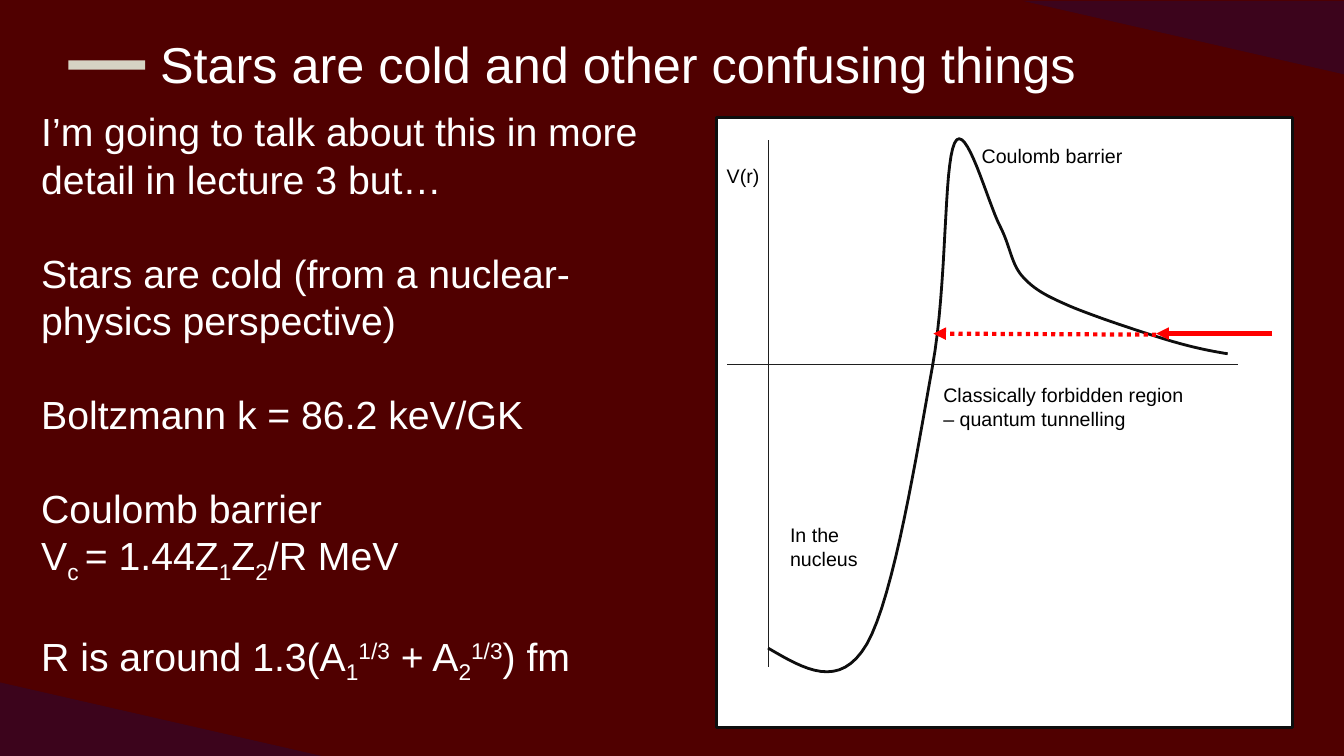
from dataclasses import dataclass

import pptx
import pptx.dml.color
import pptx.enum.dml
import pptx.enum.shapes
import pptx.enum.text
import pptx.oxml.ns
import pptx.util
from lxml import etree

SHAPE = pptx.enum.shapes.MSO_SHAPE
DASH = pptx.enum.dml.MSO_LINE
COLOURS = {"maroon": "500000", "purple": "3C041C", "sand": "D6D3C3", "white": "FFFFFF",
           "ink": "0E0E0E", "axis": "1F1F1F", "red": "FF0000", "black": "000000"}
SUB, SUPER = -25, 30
BLANK_LINE = 33.6

prs = pptx.Presentation()
prs.slide_width = pptx.util.Inches(13.333)
prs.slide_height = pptx.util.Inches(7.5)
s = prs.slides.add_slide(prs.slide_layouts[6])


# Grid of 100 columns by 100 rows
def col(n: float) -> int:
    return round(prs.slide_width * n / 100)


def row(n: float) -> int:
    return round(prs.slide_height * n / 100)


@dataclass
class Box:
    x: float
    y: float
    w: float
    h: float

    def place(self) -> tuple[int, int, int, int]:
        return col(self.x), row(self.y), col(self.w), row(self.h)


@dataclass
class Block:
    box: Box
    fill: str
    kind: SHAPE = SHAPE.RECTANGLE
    rotation: int = 0
    line: str | None = None


@dataclass
class Stroke:
    start: tuple[float, float]
    end: tuple[float, float]
    colour: str
    width: float
    arrow: bool = False
    dash: DASH | None = None


@dataclass
class Label:
    text: str
    box: Box


@dataclass
class Para:
    runs: list[tuple[str, int]]
    before: float = 0


def rgb(name: str) -> pptx.dml.color.RGBColor:
    return pptx.dml.color.RGBColor.from_string(COLOURS[name])


def draw_block(block: Block) -> None:
    sp = s.shapes.add_shape(block.kind, *block.box.place())
    sp.shadow.inherit = False
    sp.rotation = block.rotation
    sp.fill.solid()
    sp.fill.fore_color.rgb = rgb(block.fill)
    if block.line:
        sp.line.color.rgb = rgb(block.line)
        sp.line.width = pptx.util.Pt(2)
    else:
        sp.line.fill.background()


def draw_stroke(stroke: Stroke) -> None:
    (x1, y1), (x2, y2) = stroke.start, stroke.end
    cx = s.shapes.add_connector(pptx.enum.shapes.MSO_CONNECTOR.STRAIGHT,
                                col(x1), row(y1), col(x2), row(y2))
    cx.line.color.rgb = rgb(stroke.colour)
    cx.line.width = pptx.util.Pt(stroke.width)
    if stroke.dash:
        cx.line.dash_style = stroke.dash
    if stroke.arrow:
        ln = cx.line.fill._xPr
        etree.SubElement(ln, pptx.oxml.ns.qn("a:tailEnd"), type="triangle")
    etree.SubElement(cx._element.spPr, pptx.oxml.ns.qn("a:effectLst"))


def write(paras: list[Para], box: Box, *, size: float, colour: str) -> None:
    tf = s.shapes.add_textbox(*box.place()).text_frame
    tf.word_wrap = True
    for i, para in enumerate(paras):
        p = tf.paragraphs[0] if i == 0 else tf.add_paragraph()
        if para.before:
            p.space_before = pptx.util.Pt(para.before)
        for text, baseline in para.runs:
            r = p.add_run()
            r.text = text
            r.font.name = "Arial"
            r.font.size = pptx.util.Pt(size)
            r.font.color.rgb = rgb(colour)
            if baseline:
                r._r.get_or_add_rPr().set("baseline", str(baseline * 1000))


def bezier(points: list[tuple[float, float]], steps: int = 16) -> list[tuple[int, int]]:
    """Sample a chain of cubic segments that share their end points."""
    out = []
    for k in range(0, len(points) - 1, 3):
        for t in (n / steps for n in range(1, steps + 1)):
            weights = ((1 - t) ** 3, 3 * t * (1 - t) ** 2, 3 * t * t * (1 - t), t ** 3)
            pairs = list(zip(weights, points[k:k + 4]))
            out.append((col(sum(w * x for w, (x, _) in pairs)),
                        row(sum(w * y for w, (_, y) in pairs))))
    return out


# Background, corner triangles, title mark and diagram panel
CORNER_W, CORNER_H = 23.93, 9.73
BLOCKS = [
    Block(Box(0, 0, 100, 100), "maroon"),
    Block(Box(5.1, 8, 5.7, 1.2), "sand"),
    Block(Box(0, 100 - CORNER_H, CORNER_W, CORNER_H), "purple", SHAPE.RIGHT_TRIANGLE),
    Block(Box(100 - CORNER_W, 0.1, CORNER_W, CORNER_H), "purple", SHAPE.RIGHT_TRIANGLE, 180),
    Block(Box(53.33, 15.6, 42.83, 80.67), "white", line="ink"),
]
for block in BLOCKS:
    draw_block(block)

# Title and body text
write([Para([("Stars are cold and other confusing things", 0)])],
      Box(11.18, 3.73, 78.38, 9.47), size=36, colour="white")
BODY = [
    Para([("I’m going to talk about this in more detail in lecture 3 but…", 0)]),
    Para([("Stars are cold (from a nuclear-physics perspective)", 0)], BLANK_LINE),
    Para([("Boltzmann k = 86.2 keV/GK", 0)], BLANK_LINE),
    Para([("Coulomb barrier", 0)], BLANK_LINE),
    Para([("V", 0), ("c ", SUB), ("= 1.44Z", 0), ("1", SUB), ("Z", 0), ("2", SUB),
          ("/R MeV", 0)]),
    Para([("R is around 1.3(A", 0), ("1", SUB), ("1/3", SUPER), (" + A", 0), ("2", SUB),
          ("1/3", SUPER), (") fm", 0)], BLANK_LINE),
]
write(BODY, Box(2.33, 13.6, 46.95, 74.67), size=28, colour="white")

# Axes
AXIS_X, AXIS_Y = 57.15, 48.27
draw_stroke(Stroke((AXIS_X, 18.53), (AXIS_X, 88.27), "axis", 0.75))
draw_stroke(Stroke((92.1, AXIS_Y), (54.08, AXIS_Y), "axis", 0.75))

# Potential curve
POTENTIAL = [
    (AXIS_X, 85.73),
    (59.85, 88.53), (62.48, 91.33), (64.5, 85.2),
    (66.53, 78.93), (68.25, 59.6), (69.38, 48.53),
    (70.5, 37.47), (70.2, 22), (71.03, 18.93),
    (71.85, 15.73), (73.5, 26.8), (74.4, 29.87),
    (75.23, 32.8), (75.23, 34.93), (76.13, 36.67),
    (77.03, 38.4), (77.93, 39.2), (79.65, 40.53),
    (81.45, 41.87), (84.6, 43.73), (86.55, 44.8),
    (88.5, 45.87), (89.93, 46.4), (91.35, 46.8),
]
builder = s.shapes.build_freeform(col(AXIS_X), row(POTENTIAL[0][1]))
builder.add_line_segments(bezier(POTENTIAL), close=False)
curve = builder.convert_to_shape()
curve.shadow.inherit = False
curve.fill.background()
curve.line.color.rgb = rgb("ink")
curve.line.width = pptx.util.Pt(2)

# Incoming particle, then tunnelling through the barrier
draw_stroke(Stroke((94.65, 44.13), (86.03, 44.13), "red", 3, arrow=True))
draw_stroke(Stroke((86.03, 44.27), (69.45, 44.13), "red", 3, arrow=True,
                   dash=DASH.ROUND_DOT))

# Diagram labels
LABELS = [
    Label("V(r)", Box(53.33, 21.07, 4.65, 4.53)),
    Label("In the nucleus", Box(58.05, 68.53, 6.98, 7.6)),
    Label("Coulomb barrier", Box(72.3, 18.4, 12.08, 4.53)),
    Label("Classically forbidden region – quantum tunnelling", Box(69.45, 50, 20.1, 7.6)),
]
for label in LABELS:
    write([Para([(label.text, 0)])], label.box, size=14, colour="black")

prs.save("out.pptx")
